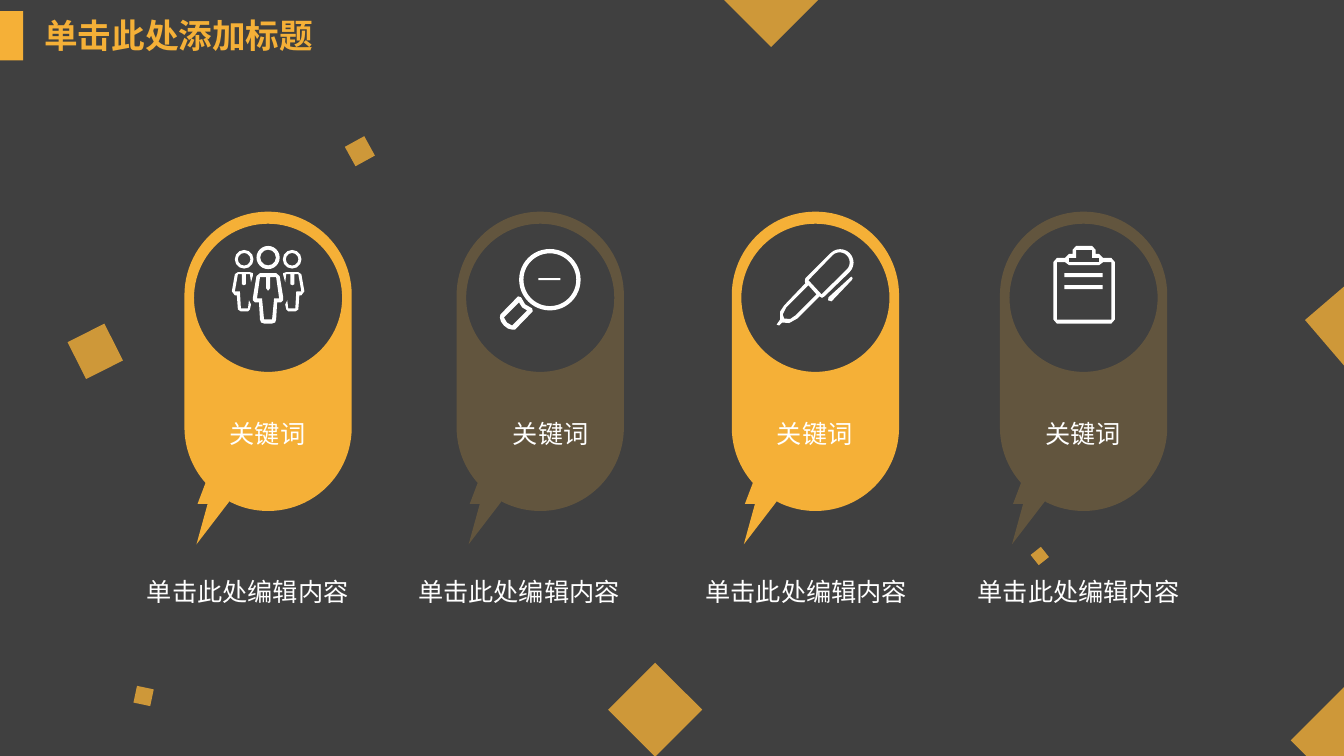
"""Build a dark slide with four speech-pill keywords, icons and captions."""
from dataclasses import dataclass
from math import cos, radians, sin
from typing import Any

from lxml import etree
from pptx import Presentation
from pptx import util as u
from pptx.dml.color import RGBColor
from pptx.enum import shapes, text
from pptx.oxml import ns

ROWS = 75
CELL = u.Inches(7.5) // ROWS
COLS = 133.33
GOLD, BROWN, DARK, WHITE, AMBER = "F5B037", "62553E", "404040", "FFFFFF", "FEB637"
SANS = "Noto Sans CJK SC"
RECT = shapes.MSO_SHAPE.RECTANGLE
ROUND = shapes.MSO_SHAPE.ROUNDED_RECTANGLE
RING = shapes.MSO_SHAPE.DONUT


@dataclass
class Bend:
    """An arc's radius, start angle and sweep."""
    r: float
    start: int
    sweep: int


Node = tuple[float, float] | tuple[float, float, Bend]
Nodes = list[Node]


@dataclass
class Tile:
    """A turned square: column, row, side and angle."""
    col: float
    row: float
    side: float
    turn: float


@dataclass
class Card:
    """A pill with its fill and the columns of its texts."""
    col: float
    fill: str
    word: float
    note: float


TILES = [
    Tile(7.4, 32.8, 4.1, 243.3), Tile(131, 28.4, 7.5, 319.4),
    Tile(129.6, 69.7, 7.5, 315), Tile(61.7, 67.1, 6.6, 315),
    Tile(73.2, -3.3, 6.6, 315), Tile(13.4, 68.2, 1.7, 11.9),
    Tile(102.5, 54.5, 1.3, 231.5), Tile(34.6, 13.9, 2.2, 241.2),
]
CARDS = [
    Card(18.3, GOLD, 21.8, 13.6), Card(45.3, BROWN, 49.9, 40.5),
    Card(72.6, GOLD, 76.1, 69), Card(99.2, BROWN, 102.7, 96),
]


def cells(n: float) -> int:
    """Turn grid cells into a length."""
    return round(n * CELL)


def paint(item: Any, color: str, alpha: int = 100) -> Any:
    """Give a shape a plain fill without line or shadow."""
    item.shadow.inherit = False
    item.line.fill.background()
    item.fill.solid()
    item.fill.fore_color.rgb = RGBColor.from_string(color)
    if alpha < 100:
        tone = item.fill._xPr.find(".//" + ns.qn("a:srgbClr"))
        etree.SubElement(tone, ns.qn("a:alpha"), val=str(alpha * 1000))
    return item


def block(tree: Any, kind: Any, col: float, row: float, wide: float, high: float,
          color: str, alpha: int = 100) -> Any:
    """Draw a preset shape on the grid."""
    return paint(tree.add_shape(kind, *map(cells, (col, row, wide, high))), color, alpha)


def ring(tree: Any, col: float, row: float, size: float, thick: float) -> None:
    """Draw a white ring."""
    block(tree, RING, col, row, size, size, WHITE).adjustments[0] = thick / size


def outline(tree: Any, color: str, *loops: Nodes) -> None:
    """Draw one free shape; later loops cut holes."""
    pen = tree.build_freeform(*map(cells, loops[0][0][:2]))
    for i, loop in enumerate(loops):
        spots = [(cells(n[0]), cells(n[1])) for n in loop]
        if i:
            pen.move_to(*spots[0])
        pen.add_line_segments(spots[1:], close=True)
    item = paint(pen.convert_to_shape(), color)
    steps = list(item._element.iter(ns.qn("a:lnTo")))
    for step, node in zip(steps, [n for loop in loops for n in loop[1:]]):
        if len(node) == 3:
            bend = node[2]
            size = str(cells(bend.r))
            curve = etree.Element(ns.qn("a:arcTo"), wR=size, hR=size,
                                  stAng=str(bend.start * 60000),
                                  swAng=str(bend.sweep * 60000))
            step.getparent().replace(step, curve)


def arc(x: float, y: float, r: float, start: int, end: int) -> Nodes:
    """Split a clockwise arc at the quadrants."""
    stops = [start, *(a for a in range(0, 450, 90) if start < a < end), end]
    spots = [(x + r * cos(radians(a)), y + r * sin(radians(a))) for a in stops]
    return [spots[0]] + [(*spot, Bend(r, a % 360, b - a))
                         for spot, a, b in zip(spots[1:], stops, stops[1:])]


def mirror(mid: float, half: Nodes) -> Nodes:
    """Close a right half with its left reflection."""
    return [(mid + x, y) for x, y in half] + [(mid - x, y) for x, y in half[::-1]]


def label(tree: Any, words: str, col: float, row: float, wide: float, high: float,
          size: int, color: str, face: str, wrap: bool, bold: bool = False) -> None:
    """Place one line of text."""
    frame = tree.add_textbox(*map(cells, (col, row, wide, high))).text_frame
    frame.word_wrap = wrap
    frame.auto_size = text.MSO_AUTO_SIZE.SHAPE_TO_FIT_TEXT
    para = frame.paragraphs[0]
    para.text = words
    font = para.font
    font.size, font.bold, font.name = u.Pt(size), bold, face
    font.color.rgb = RGBColor.from_string(color)


def pill(tree: Any, card: Card) -> None:
    """Draw a pill with a round window and a bolt tail."""
    x, r = card.col, 8.3
    tail = [(4.5, 49.7), (1.2, 54), (2.3, 50), (1.3, 50), (2.1, 47.9)]
    edge = (arc(x + r, 29.3, r, 180, 360) + arc(x + r, 42.4, r, 0, 117)
            + [(x + a, b) for a, b in tail] + arc(x + r, 42.4, r, 138, 180))
    outline(tree, card.fill, edge, arc(x + r, 29.55, 7.35, 0, 360))


def team(tree: Any) -> None:
    """Draw three people."""
    mid = 26.6
    coat = [(0.8, 27.1), (1.15, 27.4), (1.5, 29.5), (1.5, 29.8), (1.3, 30),
            (0.9, 30), (0.8, 31.7), (0.7, 32), (0.4, 32.1)]
    gap = [(0, 28.85), (0.2, 28.6), (0.2, 27.5), (0.8, 27.5), (1.1, 29.6),
           (0.6, 29.6), (0.4, 31.7)]
    side = [(3, 27), (1.8, 27), (1.5, 27.1), (1.5, 27.3), (1.7, 28),
            (1.8, 27.2), (2.2, 27.2), (2.2, 28.2), (2.4, 28.3), (2.6, 28.2),
            (2.6, 27.2), (3, 27.2), (3.3, 28.9), (2.8, 28.9), (2.7, 30.6),
            (2, 30.6), (1.9, 29.8), (1.7, 30.2), (1.8, 30.7), (2, 30.9),
            (2.7, 30.9), (3, 30.7), (3.1, 29.3), (3.3, 29.3), (3.6, 28.9),
            (3.3, 27.2)]
    ring(tree, mid - 1.15, 24.4, 2.3, 0.37)
    outline(tree, WHITE, mirror(mid, coat), mirror(mid, gap))
    for sign in (1, -1):
        ring(tree, mid + sign * 2.38 - 0.92, 24.8, 1.85, 0.3)
        outline(tree, WHITE, [(mid + sign * x, y) for x, y in side])


def lens(tree: Any) -> None:
    """Draw a magnifier."""
    ring(tree, 51.5, 24.7, 6.1, 0.43)
    grip = [(50.8, 32.7), (50.4, 32.6), (50, 32.3), (49.7, 31.9), (49.6, 31.5),
            (49.65, 31.2), (51.4, 29.4), (51.7, 29.5), (52.1, 30.2), (52.8, 30.6),
            (52.85, 30.9), (51.1, 32.7)]
    hole = [(50, 31.5), (51.5, 30), (51.8, 30.5), (52.3, 30.8), (50.8, 32.3), (50.3, 32)]
    outline(tree, WHITE, grip, hole)
    block(tree, ROUND, 53.4, 27.6, 2.2, 0.2, WHITE)


def marker(tree: Any) -> None:
    """Draw a pen with its clip."""
    body = arc(83.35, 26.05, 1.33, 225, 405) + [
        (81.8, 29.4), (81.55, 29.55), (81.3, 29.4), (79.1, 31.6), (78.3, 32.05),
        (77.6, 32), (77.3, 32.3), (77.05, 32.2), (77.4, 31.7), (77.4, 30.9),
        (77.8, 30.3), (79.9, 28.1), (79.85, 27.9), (79.9, 27.6)]
    nib = [(78.9, 31.3), (78.4, 31.65), (77.8, 31.6), (77.65, 31.2), (78, 30.5),
           (80.2, 28.3), (81, 29.2)]
    cap = [(81.5, 29.2), (80.2, 27.8), *arc(83.3, 26.03, 1, 225, 405)]
    clip = [(84.45, 27.45), (82.2, 29.5), (82.15, 29.8), (82.5, 29.9), (84.5, 27.8),
            (84.6, 27.6)]
    outline(tree, WHITE, body, nib, cap)
    outline(tree, WHITE, clip)


def board(tree: Any) -> None:
    """Draw a clipboard."""
    mid = 107.55
    edge = [(0.8, 24.4), (1.15, 24.8), (1.15, 25.2), (1.5, 25.2), (1.9, 25.6),
            (2.7, 25.6), (3.05, 26), (3.05, 31.7), (2.7, 32.1)]
    clasp = [(0.8, 24.8), (0.8, 25.6), (1.5, 25.6), (1.5, 26)]
    sheet = [(1.5, 26.3), (1.9, 26), (2.7, 26), (2.7, 31.7)]
    outline(tree, WHITE, *(mirror(mid, half) for half in (edge, clasp, sheet)))
    for row in (27.1, 28.3):
        block(tree, RECT, 105.6, row, 3.8, 0.4, WHITE)


def main() -> None:
    """Build and save the slide."""
    deck = Presentation()
    deck.slide_width, deck.slide_height = cells(COLS), cells(ROWS)
    tree = deck.slides.add_slide(deck.slide_layouts[6]).shapes
    block(tree, RECT, 0, 0, COLS, ROWS, DARK)
    block(tree, RECT, 0, 1.1, 2.3, 4.9, GOLD)
    label(tree, "单击此处添加标题", 3.4, 1, 28.9, 5, 24, GOLD, "Arial", False, True)
    for tile in TILES:
        item = block(tree, RECT, tile.col, tile.row, tile.side, tile.side, AMBER, 75)
        item.rotation = tile.turn
    for card in CARDS:
        pill(tree, card)
    for icon in (lens, team, marker, board):
        icon(tree.add_group_shape().shapes)
    for card in CARDS:
        label(tree, "单击此处编辑内容", card.note, 56.7, 23.2, 4, 18, WHITE, SANS, True)
        label(tree, "关键词", card.word, 41, 9.6, 4, 18, WHITE, SANS, False)
    deck.save("out.pptx")


if __name__ == "__main__":
    main()
